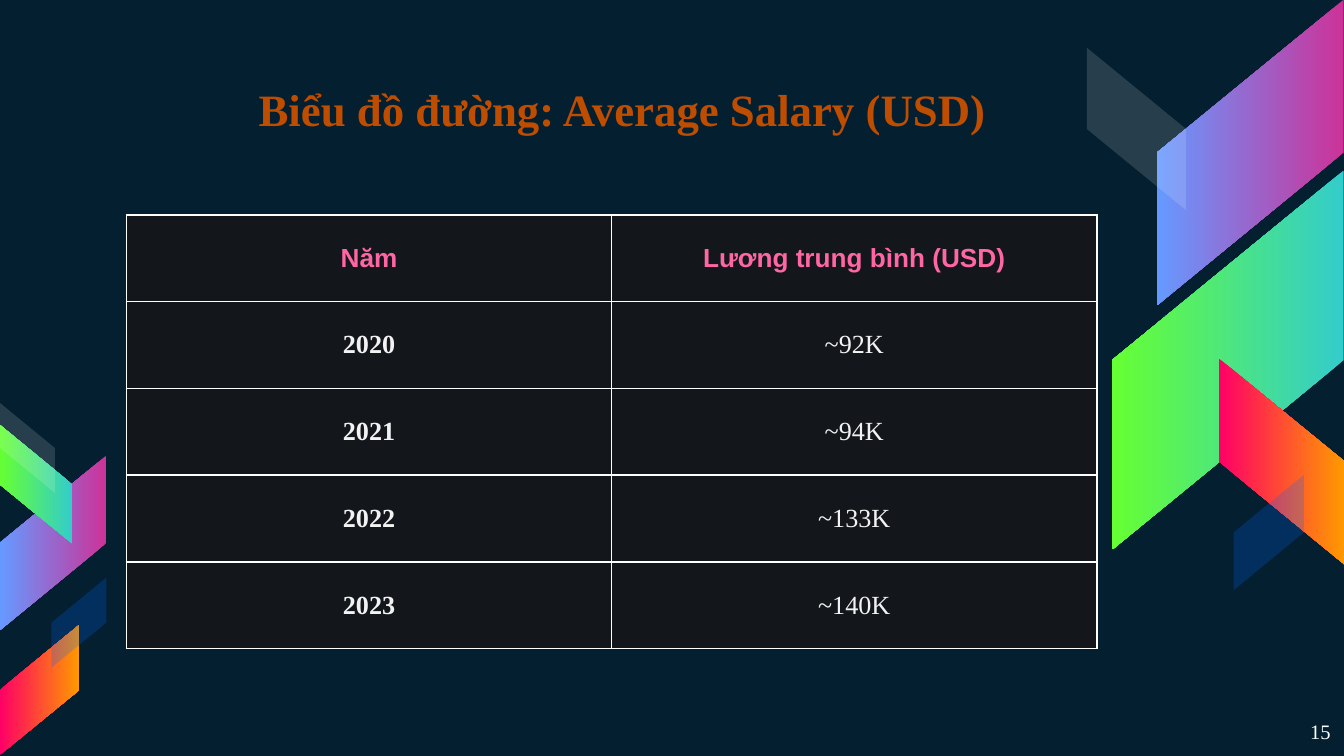
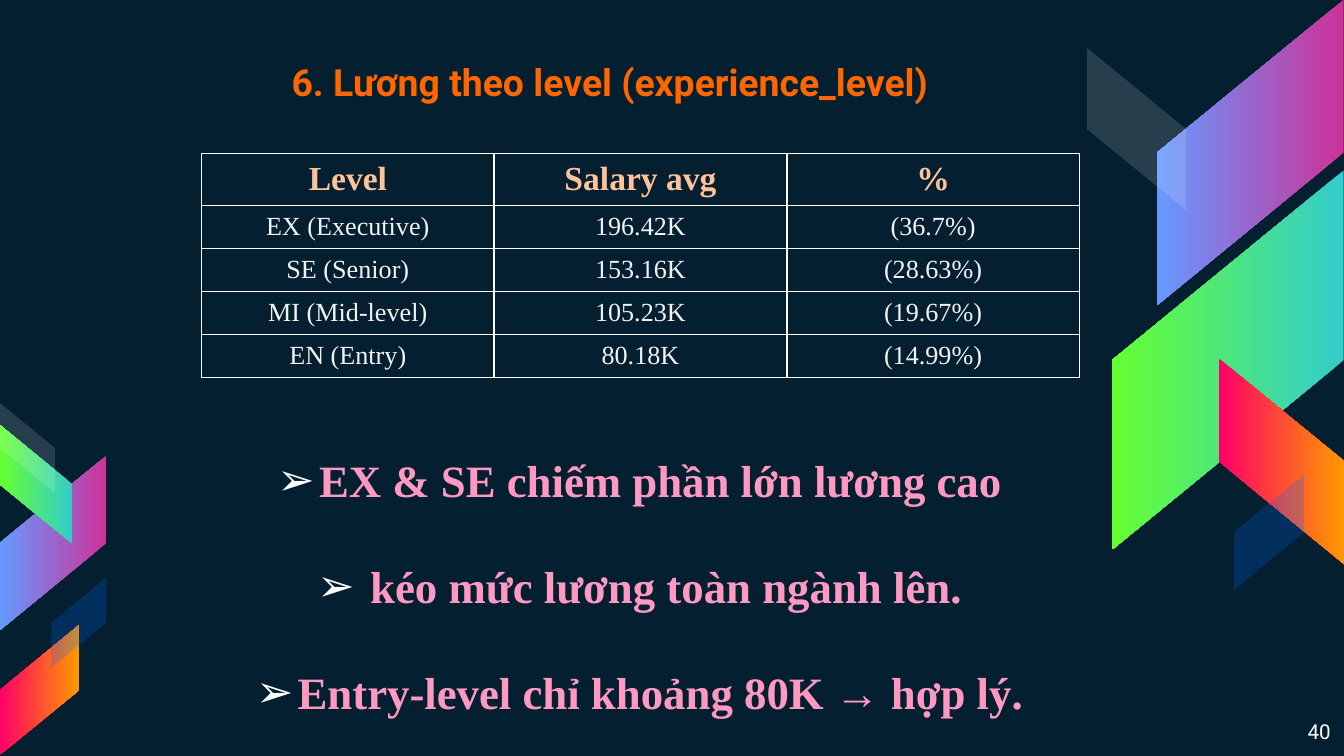
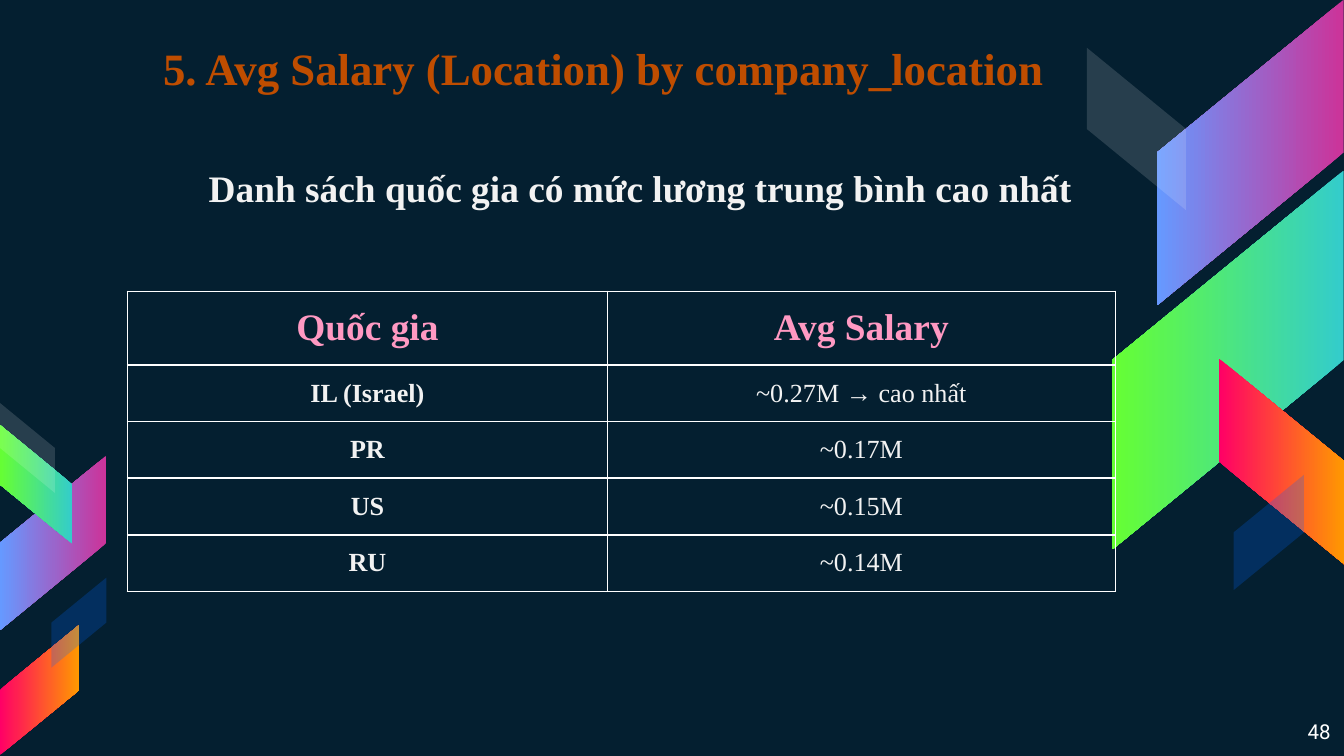
from dataclasses import dataclass
from typing import Any, Optional

from lxml import etree
from pptx import Presentation
from pptx.dml.color import RGBColor
from pptx.enum.shapes import MSO_SHAPE
from pptx.enum.text import MSO_ANCHOR, PP_ALIGN
from pptx.oxml.ns import qn
from pptx.util import Cm, Pt

SKEW = MSO_SHAPE.PARALLELOGRAM
TOP, MIDDLE = MSO_ANCHOR.TOP, MSO_ANCHOR.MIDDLE
CENTER, RIGHT = PP_ALIGN.CENTER, PP_ALIGN.RIGHT


@dataclass(frozen=True)
class Theme:
    """Colours, fonts and type sizes of the deck."""
    back: str = "041F30"
    white: str = "FFFFFF"
    pale: str = "F2F2F2"
    panel: str = "13171C"
    rust: str = "BF4D00"
    orange: str = "FF6600"
    peach: str = "FFC299"
    rose: str = "FF66A3"
    pink: str = "FF99C2"
    blue: str = "0066FF"
    dusk: tuple[str, str] = ("CC3399", "6699FF")
    lime: tuple[str, str] = ("33CCCC", "66FF33")
    fire: tuple[str, str] = ("FF0066", "FF9900")
    serif: str = "Times New Roman"
    sans: str = "Arial"
    robot: str = "Roboto"
    big: int = 24
    mid: int = 20
    head: int = 18
    body: int = 14
    note: int = 11


T = Theme()


@dataclass(frozen=True)
class Style:
    """Look of a run of text."""
    size: int
    color: str
    bold: bool = True
    font: str = T.serif


@dataclass(frozen=True)
class Band:
    """Slanted band, measured in cm before it is turned."""
    left: float
    top: float
    length: float
    turn: int
    flip: bool
    tint: Any
    alpha: int = 100


@dataclass(frozen=True)
class Label:
    """Text box, measured in cm."""
    left: float
    top: float
    width: float
    height: float
    lines: tuple[str, ...]
    style: Style
    align: Any = CENTER
    anchor: Any = TOP
    pad: float = 0.13
    bullet: str = ""


@dataclass(frozen=True)
class Grid:
    """Table, measured in cm, with a head row above equal rows."""
    left: float
    top: float
    widths: tuple[float, ...]
    first: float
    rest: float
    head: Style
    rows: tuple[tuple[str, ...], ...]
    strong: bool = True
    fill: Optional[str] = None


@dataclass(frozen=True)
class Page:
    """Contents of one slide."""
    number: str
    labels: tuple[Label, ...]
    grid: Grid
    font: str = T.robot


RATIO = 0.61
SLANT = 0.819
INDENT = 0.79
GAP = 28

RIGHT_BANDS = (
    Band(20.75, 1.12, 5.77, 90, True, T.dusk),
    Band(19.63, 4.62, 7.16, 90, True, T.lime),
    Band(22.28, 7.54, 3.89, 270, False, T.fire),
    Band(19.94, 1.5, 3.07, 270, False, T.white, 14),
    Band(22.89, 9.4, 2.18, 270, True, T.blue, 23),
)
LEFT_BANDS = (
    Band(-0.64, 9.25, 3.3, 90, True, T.dusk),
    Band(-0.43, 8.48, 2.24, 90, False, T.lime),
    Band(-0.48, 12.29, 2.46, 270, True, T.fire),
    Band(-0.33, 7.95, 1.7, 270, False, T.white, 14),
    Band(0.64, 11.25, 1.7, 270, True, T.blue, 23),
)

TITLE = Style(T.big, T.rust)
PAGES = (
    Page(
        "15",
        (Label(3.07, 0.53, 17.37, 3.05, ("Biểu đồ đường: Average Salary (USD)",),
               TITLE, anchor=MIDDLE, pad=0.25),),
        Grid(2.39, 4.06, (9.17, 9.17), 1.64, 1.64,
             Style(T.body, T.rose, font=T.sans), (
                 ("Năm", "Lương trung bình (USD)"),
                 ("2020", "~92K"),
                 ("2021", "~94K"),
                 ("2022", "~133K"),
                 ("2023", "~140K"),
             ), fill=T.panel),
        T.serif,
    ),
    Page(
        "40",
        (
            Label(1.7, 0.2, 19.66, 2.69, ("6. Lương theo level (experience_level)",),
                  Style(T.mid, T.orange, font=T.robot), anchor=MIDDLE, pad=0.25),
            Label(4.39, 8.43, 15.39, 5.38, (
                "EX & SE chiếm phần lớn lương cao",
                " kéo mức lương toàn ngành lên.",
                "Entry-level chỉ khoảng 80K → hợp lý.",
            ), Style(T.big, T.pink), bullet="➢"),
        ),
        Grid(3.81, 2.9, (5.53, 5.53, 5.53), 0.97, 0.8, Style(T.head, T.peach), (
            ("Level", "Salary avg", "%"),
            ("EX (Executive)", "196.42K", "(36.7%)"),
            ("SE (Senior)", "153.16K", "(28.63%)"),
            ("MI (Mid-level)", "105.23K", "(19.67%)"),
            ("EN (Entry)", "80.18K", "(14.99%)"),
        ), strong=False),
    ),
    Page(
        "48",
        (
            Label(2.41, 0.64, 17.98, 1.27,
                  ("5. Avg Salary (Location) by company_location",), TITLE),
            Label(2.77, 3, 18.67, 1.12,
                  ("Danh sách quốc gia có mức lương trung bình cao nhất",),
                  Style(T.mid, T.pale)),
        ),
        Grid(2.41, 5.51, (9.07, 9.6), 1.39, 1.07, Style(T.mid, T.pink), (
            ("Quốc gia", "Avg Salary"),
            ("IL (Israel)", "~0.27M → cao nhất"),
            ("PR", "~0.17M"),
            ("US", "~0.15M"),
            ("RU", "~0.14M"),
        )),
    ),
)


def put(item: Any, **values: Any) -> None:
    """Set each given attribute on the item."""
    for name, value in values.items():
        setattr(item, name, value)


def add(parent: Any, tag: str, **values: str) -> Any:
    """Append a drawing element with its attributes."""
    return etree.SubElement(parent, qn(tag), values)


def paint(fill: Any, color: str) -> None:
    """Fill with one solid colour."""
    fill.solid()
    fill.fore_color.rgb = RGBColor.from_string(color)


def write(para: Any, text: str, style: Style, align: Any) -> None:
    """Put one styled run into a paragraph."""
    para.alignment = align
    run = para.add_run()
    run.text = text
    put(run.font, name=style.font, size=Pt(style.size), bold=style.bold)
    run.font.color.rgb = RGBColor.from_string(style.color)


def mark(para: Any, sign: str) -> None:
    """Give a paragraph a hanging bullet."""
    props = para._p.get_or_add_pPr()
    props.set("marL", str(Cm(INDENT)))
    props.set("indent", str(-Cm(INDENT)))
    add(add(props, "a:buClr"), "a:srgbClr", val=T.white)
    add(props, "a:buFont", typeface=T.sans)
    add(props, "a:buChar", char=sign)


def draw_band(group: Any, band: Band) -> None:
    """Draw one slanted band."""
    shape = group.shapes.add_shape(SKEW, Cm(band.left), Cm(band.top),
                                   Cm(band.length), Cm(band.length * RATIO))
    shape.adjustments[0] = SLANT
    shape.rotation = band.turn
    shape.shadow.inherit = False
    shape.line.fill.background()
    props = shape._element.spPr
    if band.flip:
        props.get_or_add_xfrm().set("flipH", "1")
    if isinstance(band.tint, str):
        paint(shape.fill, band.tint)
        color = props.find(qn("a:solidFill")).find(qn("a:srgbClr"))
        add(color, "a:alpha", val=str(band.alpha * 1000))
        return
    shape.fill.gradient()
    shape.fill.gradient_angle = 270
    for stop, color in zip(shape.fill.gradient_stops, band.tint):
        stop.color.rgb = RGBColor.from_string(color)


def draw_label(slide: Any, label: Label) -> None:
    """Draw a text box with one paragraph a line."""
    box = slide.shapes.add_textbox(Cm(label.left), Cm(label.top),
                                   Cm(label.width), Cm(label.height))
    frame = box.text_frame
    put(frame, word_wrap=True, vertical_anchor=label.anchor,
        margin_left=Cm(0.25), margin_right=Cm(0.25),
        margin_top=Cm(label.pad), margin_bottom=Cm(label.pad))
    for place, text in enumerate(label.lines):
        para = frame.add_paragraph() if place else frame.paragraphs[0]
        if label.bullet:
            mark(para, label.bullet)
        if place:
            para.space_before = Pt(GAP)
        write(para, text, label.style, label.align)


def draw_cell(cell: Any, text: str, style: Style, fill: Optional[str]) -> None:
    """Write, border and fill one cell."""
    put(cell, vertical_anchor=MIDDLE, margin_top=Cm(0.11), margin_bottom=Cm(0.11))
    write(cell.text_frame.paragraphs[0], text, style, CENTER)
    props = cell._tc.get_or_add_tcPr()
    for side in "LRTB":
        line = add(props, f"a:ln{side}", w=str(Pt(1)))
        add(add(line, "a:solidFill"), "a:srgbClr", val=T.white)
    if fill:
        paint(cell.fill, fill)
    else:
        cell.fill.background()


def draw_grid(slide: Any, grid: Grid) -> None:
    """Draw a table with its head row."""
    count = len(grid.rows)
    height = grid.first + grid.rest * (count - 1)
    table = slide.shapes.add_table(count, len(grid.widths), Cm(grid.left), Cm(grid.top),
                                   Cm(sum(grid.widths)), Cm(height)).table
    put(table, first_row=False, horz_banding=False)
    for column, width in zip(table.columns, grid.widths):
        column.width = Cm(width)
    for r, texts in enumerate(grid.rows):
        table.rows[r].height = Cm(grid.rest if r else grid.first)
        for c, text in enumerate(texts):
            body = Style(T.body, T.pale, grid.strong and c == 0)
            draw_cell(table.cell(r, c), text, body if r else grid.head, grid.fill)


def draw_page(deck: Any, page: Page) -> None:
    """Add one slide with its bands, text, table and number."""
    slide = deck.slides.add_slide(deck.slide_layouts[6])
    for bands in (RIGHT_BANDS, LEFT_BANDS):
        group = slide.shapes.add_group_shape()
        for band in bands:
            draw_band(group, band)
    draw_grid(slide, page.grid)
    number = Label(23.77, 13.36, 1.63, 0.91, (page.number,),
                   Style(T.note, T.white, False, page.font), RIGHT, pad=0.25)
    for label in (*page.labels, number):
        draw_label(slide, label)


def main() -> None:
    """Build and save the deck."""
    deck = Presentation()
    put(deck, slide_width=Cm(25.4), slide_height=Cm(14.29))
    paint(deck.slide_master.background.fill, T.back)
    for page in PAGES:
        draw_page(deck, page)
    deck.save("out.pptx")


if __name__ == "__main__":
    main()
